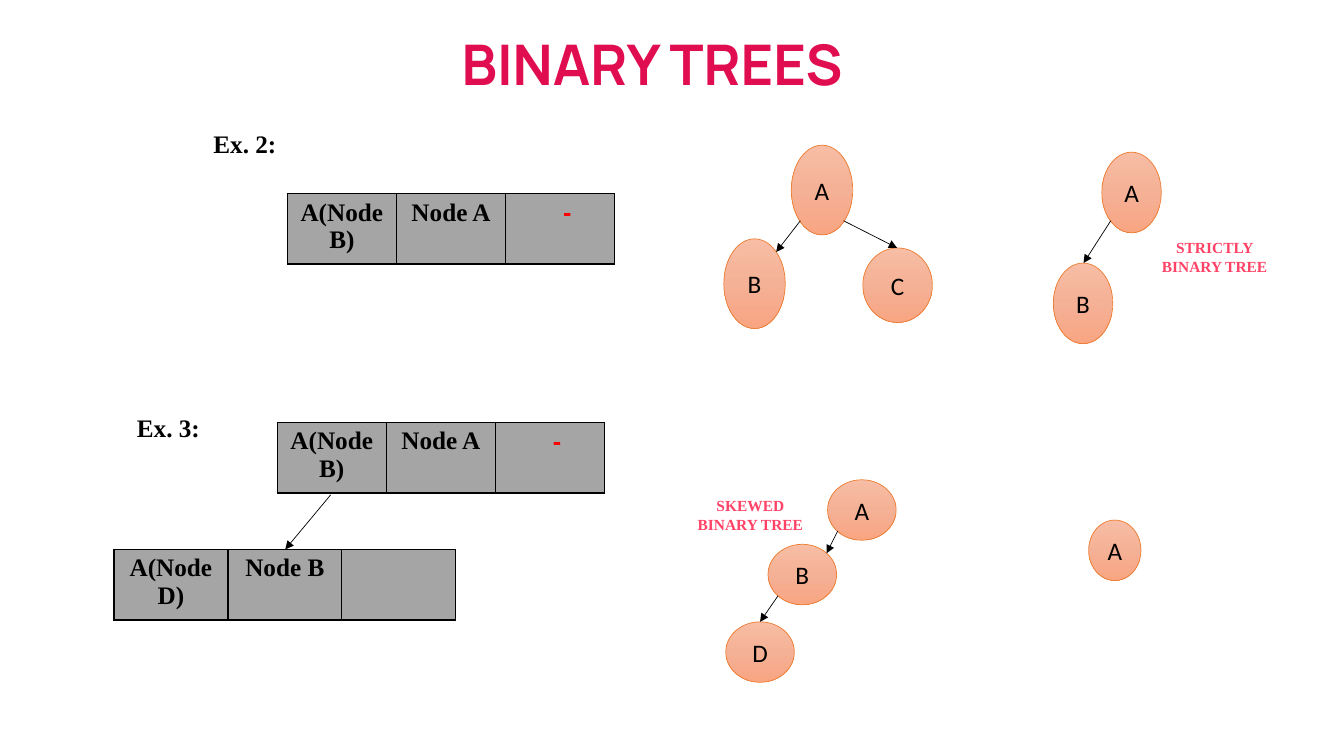
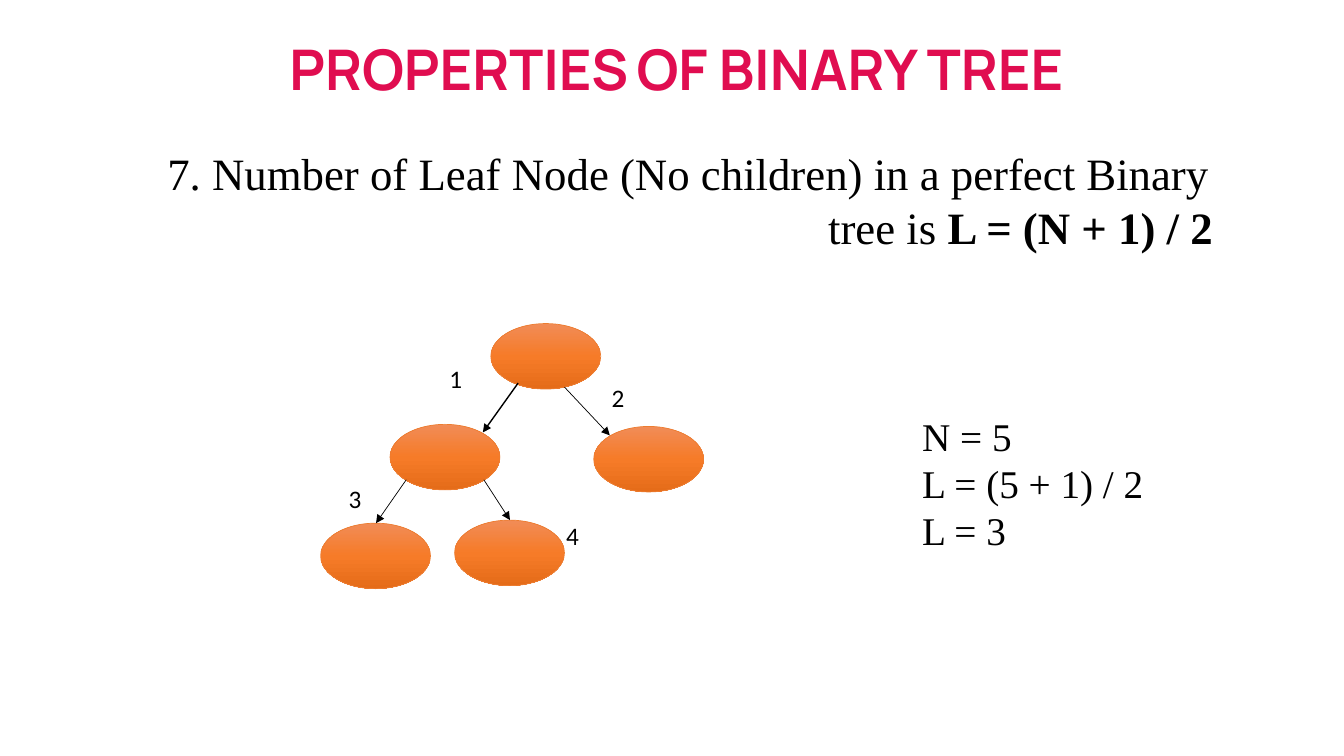
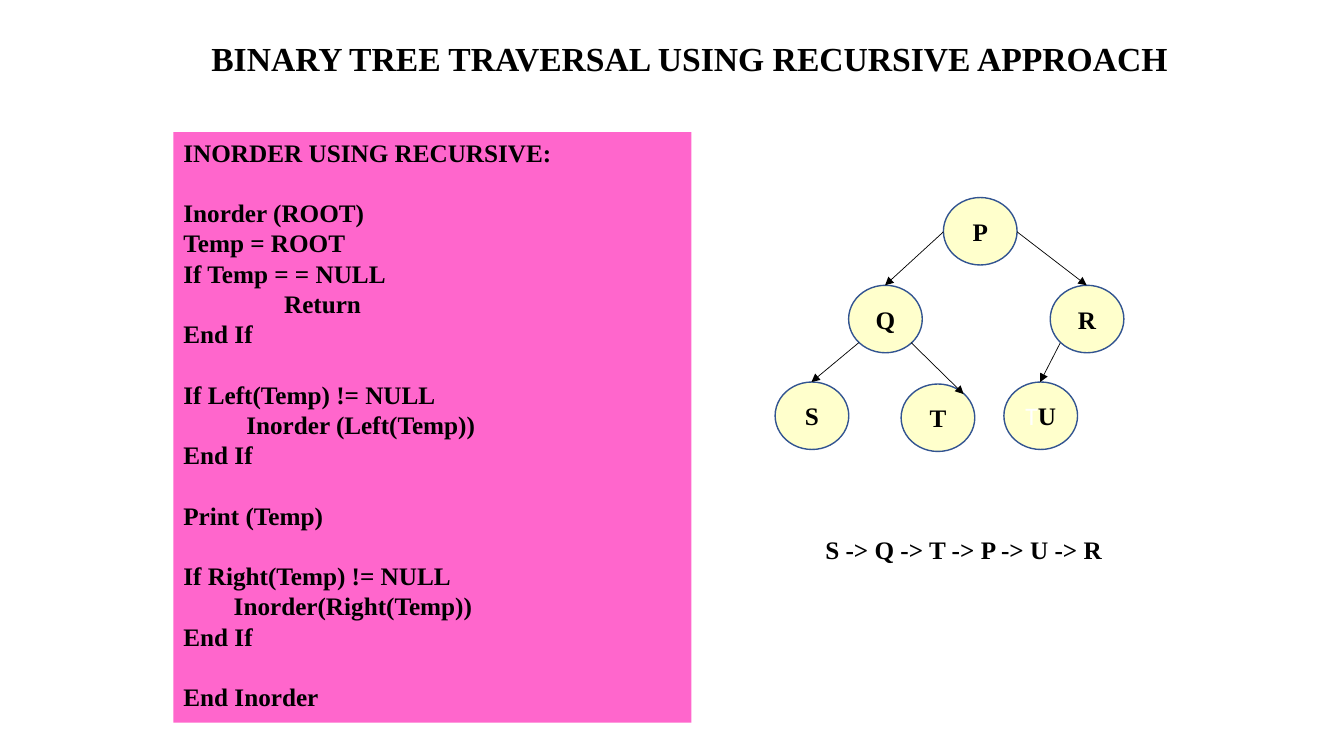
"""Build three slides on binary trees: examples, a leaf property and inorder traversal."""
from copy import deepcopy
from lxml.etree import SubElement
from pptx import Presentation
from pptx.dml.color import RGBColor
from pptx.enum.shapes import MSO_CONNECTOR as Link, MSO_SHAPE as Form
from pptx.enum.text import MSO_ANCHOR as Anchor, MSO_AUTO_SIZE as Fit, PP_ALIGN as Align
from pptx.oxml.ns import qn
from pptx.util import Pt

BLACK = RGBColor(0x00, 0x00, 0x00)
WHITE = RGBColor(0xFF, 0xFF, 0xFF)
RED = RGBColor(0xFF, 0x00, 0x00)
ROSE = RGBColor(0xE0, 0x0D, 0x50)
CORAL = RGBColor(0xFF, 0x42, 0x66)
PINK = RGBColor(0xFF, 0x66, 0xCC)
CREAM = RGBColor(0xFF, 0xFF, 0xCC)
NAVY = RGBColor(0x32, 0x54, 0x91)
GREY = RGBColor(0xA5, 0xA5, 0xA5)
ORANGE = RGBColor(0xED, 0x7D, 0x31)
PEACH = [RGBColor(0xF7, 0xBD, 0xA5), RGBColor(0xF5, 0xB1, 0x96), RGBColor(0xF8, 0xA5, 0x82)]
AMBER = [RGBColor(0xF1, 0x8C, 0x57), RGBColor(0xF6, 0x7B, 0x28), RGBColor(0xE5, 0x6C, 0x19)]
SERIF, SANS, HEAD = "Times New Roman", "Calibri", "Manrope"


def write(frame, lines, size=18, face=SERIF, color=BLACK, bold=True, align=Align.LEFT, lead=None):
    frame.word_wrap = True
    for i, line in enumerate(lines):
        para = frame.paragraphs[0] if i == 0 else frame.add_paragraph()
        para.text = line
        para.alignment = align
        if lead:
            para.line_spacing = Pt(lead)
        font = para.font
        font.size, font.name, font.bold = Pt(size), face, bold
        font.color.rgb = color
    return frame.paragraphs


def oval(slide, box, fills, edge, width, text="", face=SANS, bold=False):
    node = slide.shapes.add_shape(Form.OVAL, *map(Pt, box))
    node.shadow.inherit = False
    node.line.color.rgb = edge
    node.line.width = Pt(width)
    if len(fills) == 1:
        node.fill.solid()
        node.fill.fore_color.rgb = fills[0]
    else:
        node.fill.gradient()
        node.fill.gradient_angle = 270
        stops = node._element.spPr.find(".//" + qn("a:gsLst"))
        stops.insert(1, deepcopy(stops[0]))
        for stop, spot, tone in zip(node.fill.gradient_stops, (0, 0.5, 1), fills):
            stop.position = spot
            stop.color.rgb = tone
    if text:
        node.text_frame.vertical_anchor = Anchor.MIDDLE
        write(node.text_frame, [text], face=face, bold=bold, align=Align.CENTER)
    return node


deck = Presentation()
deck.slide_width, deck.slide_height = Pt(960), Pt(540)

level = deck.slide_master._element.find(".//" + qn("p:bodyStyle") + "/" + qn("a:lvl1pPr"))
for tag in ("a:spcBef", "a:buFont", "a:buChar"):
    for item in level.findall(qn(tag)):
        level.remove(item)
level.insert(0, level.makeelement(qn("a:buNone")))
level.set("marL", "0")
level.set("indent", "0")

slides = []
for kind, text, box, size, face, color in [
    (5, "BINARY TREES", (267.8, 17.3, 396, 55.4), 40, HEAD, ROSE),
    (1, "PROPERTIES", (165.6, 20.9, 635, 55.4), 40, HEAD, ROSE),
    (1, "BINARY TREE TRAVERSAL USING RECURSIVE APPROACH",
     (121.7, 23.8, 741.6, 36), 24, SERIF, BLACK),
]:
    slide = deck.slides.add_slide(deck.slide_layouts[kind])
    title = slide.shapes.title
    title.left, title.top, title.width, title.height = map(Pt, box)
    title.text_frame.auto_size = Fit.NONE
    title.text_frame.vertical_anchor = Anchor.MIDDLE
    write(title.text_frame, [text], size, face, color, align=Align.CENTER)
    slides.append(slide)
trees, leaf, walk = slides

head = leaf.shapes.title.text_frame.paragraphs[0]
gap = head.add_run()
gap.text = " "
gap.font.size, gap.font.name = Pt(24), SERIF
head.add_run().text = "OF BINARY TREE"

bodies = []
for slide, box in [(leaf, (112.3, 100.8, 781.2, 109.4)), (walk, (123.8, 94.3, 370.1, 421.9))]:
    body = slide.placeholders[1]
    body.left, body.top, body.width, body.height = map(Pt, box)
    body.text_frame.auto_size = Fit.NONE
    bodies.append(body)
rule, code = bodies

paras = write(rule.text_frame,
              ["7. Number of Leaf Node (No children) in a perfect Binary", "tree is "],
              32, bold=False, lead=38.4)
paras[1]._p.get_or_add_pPr().set("marL", str(Pt(472)))
sum_run = paras[1].add_run()
sum_run.text = "L = (N + 1) / 2"
sum_run.font.bold = True

code.fill.solid()
code.fill.fore_color.rgb = PINK
blocks = [
    ["INORDER USING RECURSIVE:"],
    ["Inorder (ROOT)", "Temp = ROOT", "If Temp = = NULL", "                Return", "End If"],
    ["If Left(Temp) != NULL", "          Inorder (Left(Temp))", "End If"],
    ["Print (Temp)"],
    ["If Right(Temp) != NULL", "        Inorder(Right(Temp))", "End If"],
    ["End Inorder"],
]
paras = write(code.text_frame, sum(blocks, []), lead=21.6)
row = 0
for block in blocks[:-1]:
    row += len(block)
    paras[row].space_before = Pt(21.6)

for x, y, width, texts in [
    (205.2, 138.2, 78, ["A(Node B)", "Node A", "-"]),
    (198, 301.7, 78, ["A(Node B)", "Node A", "-"]),
    (81.4, 392.4, 81.4, ["A(Node D)", "Node B", ""]),
]:
    table = trees.shapes.add_table(1, 3, Pt(x), Pt(y), Pt(width * 3), Pt(50.4)).table
    table.first_row = table.horz_banding = False
    for i, text in enumerate(texts):
        table.columns[i].width = Pt(width)
        cell = table.cell(0, i)
        props = cell._tc.get_or_add_tcPr()
        for side in "LRTB":
            edge = SubElement(props, qn("a:ln" + side), w=str(Pt(1)))
            SubElement(SubElement(edge, qn("a:solidFill")), qn("a:srgbClr"), val=str(BLACK))
        cell.fill.solid()
        cell.fill.fore_color.rgb = GREY
        if text == "-":
            cell.margin_left = Pt(17.2)
            write(cell.text_frame, [text], face="Arial", color=RED, align=Align.CENTER)
        elif text:
            write(cell.text_frame, [text], align=Align.CENTER)

for text, *box in [
    ("A", 565.2, 103.7, 43.9, 64.1),
    ("C", 616.3, 177.1, 49.7, 53.3),
    ("B", 517, 170.6, 43.9, 64.1),
    ("A", 787, 108.7, 42.5, 57.6),
    ("B", 752.4, 187.9, 42.5, 57.6),
    ("A", 591.1, 342.7, 49, 43.2),
    ("B", 548.6, 388.8, 49, 43.2),
    ("D", 518.4, 444.2, 49, 43.2),
    ("A", 777.6, 371.5, 37.4, 43.2),
]:
    oval(trees, box, PEACH, ORANGE, 0.5, text)

for x, y in [(350.6, 231.1), (424.1, 304.6), (324.7, 371.5), (229, 373.7), (278.6, 303.1)]:
    oval(leaf, (x, y, 78.5, 46.8), AMBER, ORANGE, 0.5)

for text, x, y in [
    ("P", 673.9, 141.1), ("Q", 606.2, 203.8), ("R", 750.2, 203.8),
    ("T", 643.7, 274.3), ("S", 553.7, 272.9),
]:
    oval(walk, (x, y, 52.6, 48.2), [CREAM], NAVY, 1, text, SERIF, True)

pair = oval(walk, (717.1, 272.9, 52.6, 48.2), [CREAM], NAVY, 1, "T", SERIF, True)
para = pair.text_frame.paragraphs[0]
ghost = para.runs[0].font
ghost.name, ghost.bold = SANS, False
ghost.color.rgb = WHITE
para.add_run().text = "U"

for slide, width, *ends in [
    (trees, 0.5, 571.7, 157.7, 554.4, 180),
    (trees, 0.5, 602.6, 157.7, 640.8, 177.1),
    (trees, 0.5, 793.4, 157.7, 774, 187.9),
    (trees, 0.5, 598.3, 379.4, 590.4, 395.3),
    (trees, 0.5, 555.8, 425.5, 542.9, 444.2),
    (trees, 0.5, 236.2, 353.5, 203.8, 392.4),
    (leaf, 1, 370.1, 273.6, 344.9, 308.9),
    (leaf, 0.5, 290.2, 342.7, 268.6, 373.7),
    (leaf, 0.5, 345.6, 342.7, 364.3, 371.5),
    (leaf, 0.5, 403.2, 276.5, 435.6, 311),
    (walk, 0.5, 673.9, 165.6, 632.2, 203.8),
    (walk, 0.5, 726.5, 165.6, 776.2, 203.8),
    (walk, 0.5, 613.4, 244.8, 579.6, 272.9),
    (walk, 0.5, 650.9, 244.8, 688.3, 281.5),
    (walk, 0.5, 757.4, 244.8, 743, 272.9),
]:
    arrow = slide.shapes.add_connector(Link.STRAIGHT, *map(Pt, ends))
    arrow.line.color.rgb = BLACK
    arrow.line.width = Pt(width)
    SubElement(arrow.line._get_or_add_ln(), qn("a:tailEnd"), type="triangle")
    SubElement(arrow._element.spPr, qn("a:effectLst"))

for slide, box, lines, style in [
    (trees, (145.4, 87.8, 276.5, 28.8), ["Ex. 2:"], {}),
    (trees, (90.7, 291, 100, 28.8), ["Ex. 3:"], {}),
    (trees, (821.5, 166.3, 92.2, 63.4), ["STRICTLY BINARY TREE"],
     {"size": 11, "color": CORAL, "align": Align.CENTER, "lead": 13.6}),
    (trees, (483.1, 350.6, 105.8, 47.5), ["SKEWED BINARY TREE"],
     {"size": 11, "color": CORAL, "align": Align.CENTER, "lead": 13.6}),
    (leaf, (651.6, 290.9, 198, 109.4), ["N = 5", "L = (5 + 1) / 2", "L = 3"],
     {"size": 28, "bold": False, "lead": 33.6}),
    (leaf, (313.9, 256.3, 53.3, 28.8), ["1"], {"face": SANS, "bold": False}),
    (leaf, (429.8, 269.3, 53.3, 28.8), ["2"], {"face": SANS, "bold": False}),
    (leaf, (241.9, 342, 53.3, 28.8), ["3"], {"face": SANS, "bold": False}),
    (leaf, (397.4, 367.9, 53.3, 28.8), ["4"], {"face": SANS, "bold": False}),
    (walk, (448.6, 378, 479.5, 28.8), ["S -> Q -> T -> P -> U -> R"], {"align": Align.CENTER}),
]:
    note = slide.shapes.add_textbox(*map(Pt, box))
    write(note.text_frame, lines, **style)

deck.save("out.pptx")
